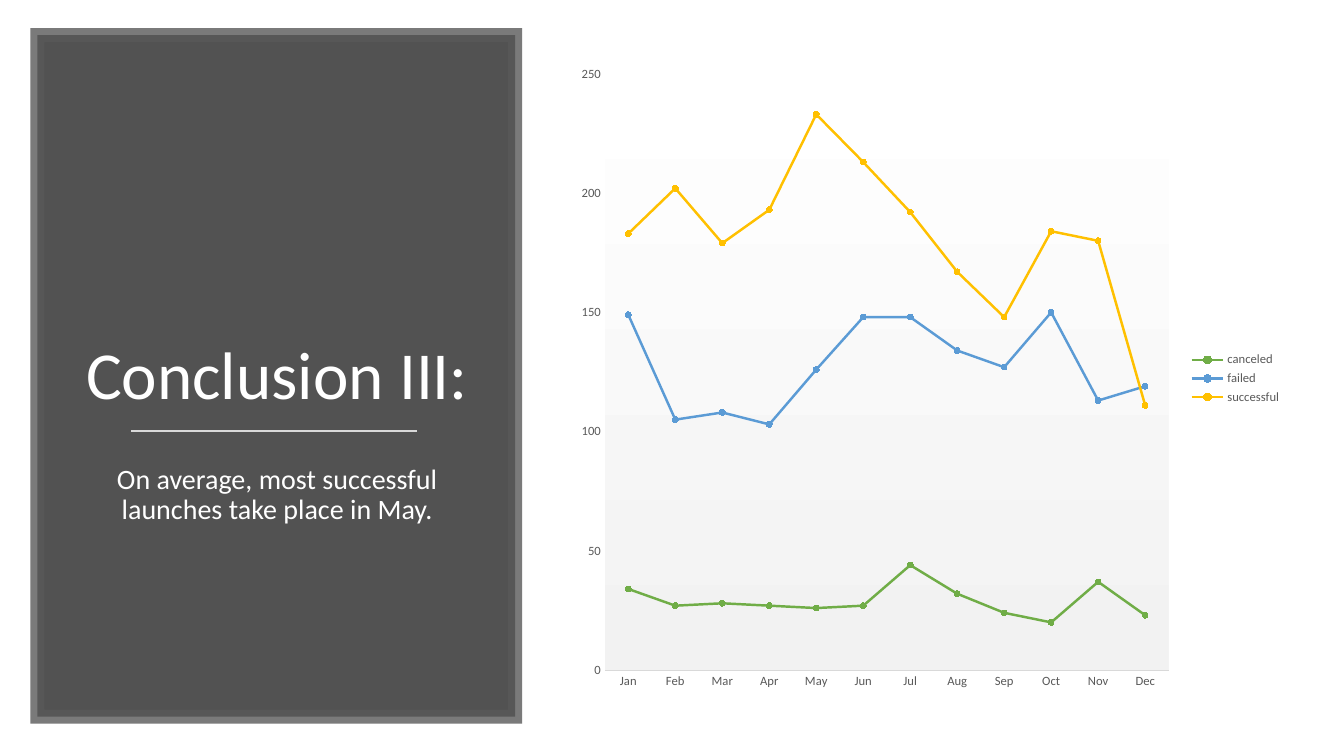
from lxml import etree
from pptx import Presentation
from pptx import util as u
from pptx.chart.data import CategoryChartData
from pptx.dml.color import RGBColor
from pptx.enum import chart as charts, shapes, text
from pptx.oxml import parse_xml
from pptx.oxml.ns import nsdecls, qn

WIDTH, HEIGHT = u.Inches(13.33), u.Inches(7.5)
FONT = "Calibri"
COLORS = {
    "panel": "404040", "frame": "595959", "white": "FFFFFF", "rule": "D9D9D9",
    "label": "595959", "shade": "F2F2F2",
    "canceled": "70AD47", "failed": "5B9BD5", "successful": "FFC000",
}
MONTHS = "Jan Feb Mar Apr May Jun Jul Aug Sep Oct Nov Dec".split()
LAUNCHES = {
    "canceled": [34, 27, 28, 27, 26, 27, 44, 32, 24, 20, 37, 23],
    "failed": [149, 105, 108, 103, 126, 148, 148, 134, 127, 150, 113, 119],
    "successful": [183, 202, 179, 193, 233, 213, 192, 167, 148, 184, 180, 111],
}
# Regions as inches: left, top, width, height
PANEL_BOX = [u.Inches(n) for n in (0.37, 0.35, 4.74, 6.76)]
CHART_BOX = [u.Inches(n) for n in (5.64, 0.54, 7.17, 6.43)]


def rgb(name):
    """Return the named colour."""
    return RGBColor.from_string(COLORS[name])


def within(box, left, top, width, height):
    """Return the part of a box given by shares of its size."""
    x, y, w, h = box
    return [int(n) for n in (x + left * w, y + top * h, width * w, height * h)]


def place(shape, box):
    """Move and size a shape to a box."""
    shape.left, shape.top, shape.width, shape.height = box


def set_line(line, color, width):
    """Give a line its colour and width in points."""
    line.color.rgb = rgb(color)
    line.width = u.Pt(width)


def set_alpha(owner, percent):
    """Make the solid colour inside an element partly transparent."""
    color = owner.find(qn("a:solidFill")).find(qn("a:srgbClr"))
    etree.SubElement(color, qn("a:alpha")).set("val", str(percent * 1000))


def set_font(font, size, color):
    """Format a font."""
    font.name, font.size, font.bold = FONT, u.Pt(size), False
    font.color.rgb = rgb(color)


def write(shape, words, size, color="white", anchor="TOP", before=0):
    """Write one centred, unbulleted paragraph into a placeholder."""
    frame = shape.text_frame
    frame.word_wrap = True
    frame.auto_size = text.MSO_AUTO_SIZE.NONE
    frame.vertical_anchor = text.MSO_ANCHOR[anchor]
    para = frame.paragraphs[0]
    para.alignment = text.PP_ALIGN.CENTER
    para.line_spacing, para.space_before = 0.9, u.Pt(before)
    props = para._p.get_or_add_pPr()
    props.set("marL", "0")
    props.set("indent", "0")
    etree.SubElement(props, qn("a:buNone"))
    span = para.add_run()
    span.text = words
    set_font(span.font, size, color)


def add_conclusion(page, box, heading, message):
    """Build the dark panel with its heading, rule and message."""
    panel = page.shapes.add_shape(shapes.MSO_SHAPE.RECTANGLE, *box)
    panel.shadow.inherit = False
    panel.fill.solid()
    panel.fill.fore_color.rgb = rgb("panel")
    set_line(panel.line, "frame", 10)
    props = panel._element.spPr
    set_alpha(props, 90)
    outline = props.find(qn("a:ln"))
    set_alpha(outline, 80)
    etree.SubElement(outline, qn("a:miter")).set("lim", "800000")
    page.shapes._spTree.insert(2, panel._element)  # behind the placeholders

    title, body = page.placeholders[0], page.placeholders[1]
    place(title, within(box, 0.08, 0.096, 0.844, 0.467))
    write(title, heading, 48, anchor="BOTTOM")
    place(body, within(box, 0.08, 0.623, 0.844, 0.247))
    write(body, message, 20, before=10)

    x, y, width, _ = within(box, 0.197, 0.581, 0.597, 0)
    rule = page.shapes.add_connector(
        shapes.MSO_CONNECTOR.STRAIGHT, x, y, x + width, y)
    set_line(rule.line, "rule", 1.75)
    etree.SubElement(rule._element.spPr, qn("a:effectLst"))


def style_plot_area(chart, left, top, width, height):
    """Place the plot by shares of the chart and shade it downwards."""
    area = chart._chartSpace.chart.plotArea
    for old in area.findall(qn("c:layout")):
        area.remove(old)
    sizes = "".join(f'<c:{tag} val="{share}"/>' for tag, share in
                    zip("xywh", (left, top, width, height)))
    area.insert(0, parse_xml(
        f'<c:layout {nsdecls("c")}><c:manualLayout>'
        '<c:layoutTarget val="inner"/><c:xMode val="edge"/>'
        f'<c:yMode val="edge"/>{sizes}</c:manualLayout></c:layout>'))
    stops = "".join(
        f'<a:gs pos="{pos}"><a:srgbClr val="{COLORS[name]}"/></a:gs>'
        for pos, name in ((0, "white"), (100000, "shade")))
    area.append(parse_xml(
        f'<c:spPr {nsdecls("c", "a")}><a:gradFill><a:gsLst>{stops}</a:gsLst>'
        '<a:lin ang="5400000" scaled="0"/></a:gradFill></c:spPr>'))


def style_axes(chart):
    """Format both axes without ticks or gridlines."""
    for axis in (chart.category_axis, chart.value_axis):
        axis.major_tick_mark = axis.minor_tick_mark = charts.XL_TICK_MARK.NONE
        axis.has_major_gridlines = False
        set_font(axis.tick_labels.font, 9, "label")
    set_line(chart.category_axis.format.line, "rule", 0.75)
    scale = chart.value_axis
    scale.format.line.fill.background()
    scale.minimum_scale, scale.maximum_scale, scale.major_unit = 0, 250, 50


def add_launch_chart(page, box):
    """Build the line chart of launches by month and outcome."""
    data = CategoryChartData(number_format="General")
    data.categories = MONTHS
    for outcome, counts in LAUNCHES.items():
        data.add_series(outcome, counts)
    chart = page.shapes.add_chart(
        charts.XL_CHART_TYPE.LINE_MARKERS, *box, data).chart
    chart.has_title = False
    set_font(chart.font, 10, "label")
    chart.has_legend = True
    chart.legend.position = charts.XL_LEGEND_POSITION.RIGHT
    chart.legend.include_in_layout = False
    set_font(chart.legend.font, 9, "label")
    style_axes(chart)
    style_plot_area(chart, 0.05, 0.03, 0.78, 0.92)
    plot = chart.plots[0]
    plot.vary_by_categories = False
    for series in plot.series:
        series.smooth = False
        set_line(series.format.line, series.name, 1.75)
        marker = series.marker
        marker.style, marker.size = charts.XL_MARKER_STYLE.CIRCLE, 4
        marker.format.fill.solid()
        marker.format.fill.fore_color.rgb = rgb(series.name)
        set_line(marker.format.line, series.name, 0.75)


def main():
    """Build and save the deck."""
    deck = Presentation()
    deck.slide_width, deck.slide_height = WIDTH, HEIGHT
    page = deck.slides.add_slide(deck.slide_layouts[1])
    page.background.fill.solid()
    page.background.fill.fore_color.rgb = rgb("white")
    add_conclusion(page, PANEL_BOX, "Conclusion III:",
                   "On average, most successful launches take place in May.")
    add_launch_chart(page, CHART_BOX)
    deck.save("out.pptx")


main()
